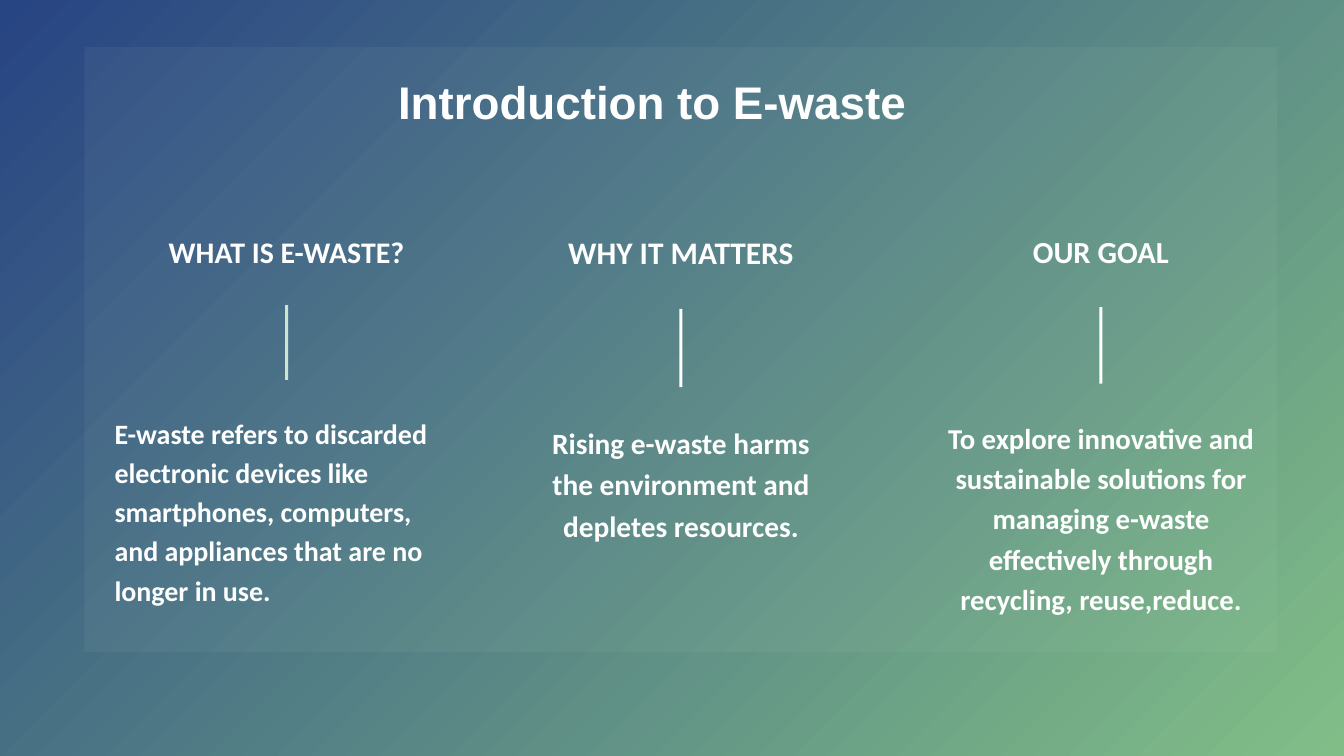
from dataclasses import dataclass

import pptx
import pptx.dml.color
import pptx.enum.shapes
import pptx.enum.text
import pptx.oxml.xmlchemy
import pptx.util
from lxml import etree
from pptx.oxml import ns

Pt = pptx.util.Pt
Align = pptx.enum.text.PP_ALIGN


@dataclass(frozen=True)
class Theme:
    blue: str = "274483"
    green: str = "81BE87"
    white: str = "FFFFFF"
    pale: str = "D0E2CA"
    panel: str = "E3F9DE"
    title_font: str = "Arial"
    text_font: str = "Calibri"
    title: float = 49
    heading: float = 32
    body: float = 30


def rgb(value):
    return pptx.dml.color.RGBColor.from_string(value)


class Deck:
    def __init__(self, prs, theme):
        self.theme = theme
        self.s = prs.slides.add_slide(prs.slide_layouts[6])

    def background(self, start, end):
        fill = self.s.background.fill
        fill.gradient()
        fill.gradient_angle = 315
        for stop, color in zip(fill.gradient_stops, (start, end)):
            stop.color.rgb = rgb(color)

    def group(self):
        return self.s.shapes.add_group_shape().shapes

    def text(self, shapes, box, text, size, leading, font, align=Align.CENTER):
        sp = shapes.add_textbox(*map(Pt, box))
        tf = sp.text_frame
        tf.word_wrap = True
        tf.auto_size = pptx.enum.text.MSO_AUTO_SIZE.SHAPE_TO_FIT_TEXT
        tf.margin_left = tf.margin_right = tf.margin_top = tf.margin_bottom = 0
        p = tf.paragraphs[0]
        p.alignment = align
        p.line_spacing = Pt(leading)
        r = p.add_run()
        r.text = text
        r.font.name = font
        r.font.size = Pt(size)
        r.font.bold = True
        r.font.color.rgb = rgb(self.theme.white)

    def rect(self, shapes, box, color, opacity=100):
        sp = shapes.add_shape(pptx.enum.shapes.MSO_SHAPE.RECTANGLE, *map(Pt, box))
        sp.shadow.inherit = False
        sp.line.fill.background()
        sp.fill.solid()
        sp.fill.fore_color.rgb = rgb(color)
        if opacity < 100:
            clr = sp.fill._xPr.find(".//" + ns.qn("a:srgbClr"))
            etree.SubElement(clr, ns.qn("a:alpha"), val=str(opacity * 1000))

    def column(self, center, scale, heading, heading_w, body, body_w, body_h,
               rule_color, align=Align.CENTER):
        """Heading, short vertical rule and body text, all centred on one axis."""
        t, top = self.theme, 250
        shapes = self.group()
        size = t.heading * scale
        self.text(shapes, (center - heading_w / 2, top, heading_w, size * 1.2),
                  heading, size, size * 1.2, t.text_font)
        size = t.body * scale
        self.text(shapes, (center - body_w / 2, top + 190 * scale, body_w, body_h),
                  body, size, size * 1.4, t.text_font, align)
        rule_w = 3.2 * scale
        self.rect(shapes, (center - rule_w / 2, top + 77 * scale, rule_w, 80 * scale),
                  rule_color)


def main():
    prs = pptx.Presentation()
    prs.slide_width, prs.slide_height = Pt(1440), Pt(810)
    t = Theme()
    deck = Deck(prs, t)
    deck.background(t.blue, t.green)

    # Three columns
    deck.column(307, 1, "WHAT IS E-WASTE?", 452,
                "E-waste refers to discarded electronic devices like smartphones, "
                "computers, and appliances that are no longer in use.",
                368.5, 208, t.pale, Align.LEFT)
    deck.column(729.5, 1.05, "WHY IT MATTERS", 392.5,
                "Rising e-waste harms the environment and depletes resources.",
                319.5, 129, t.white)
    deck.column(1179.5, 1.025, "OUR GOAL", 413.5,
                "To explore innovative and sustainable solutions for managing "
                "e-waste effectively through recycling, reuse,reduce.",
                337, 253.5, t.white)

    # Title
    deck.text(deck.s.shapes, (218, 89.5, 961, 50), "Introduction to E-waste",
              t.title, 48, t.title_font)

    # Translucent panel over the content
    deck.rect(deck.s.shapes, (90.5, 50.5, 1278, 648), t.panel, opacity=5)

    prs.save("out.pptx")


if __name__ == "__main__":
    main()
